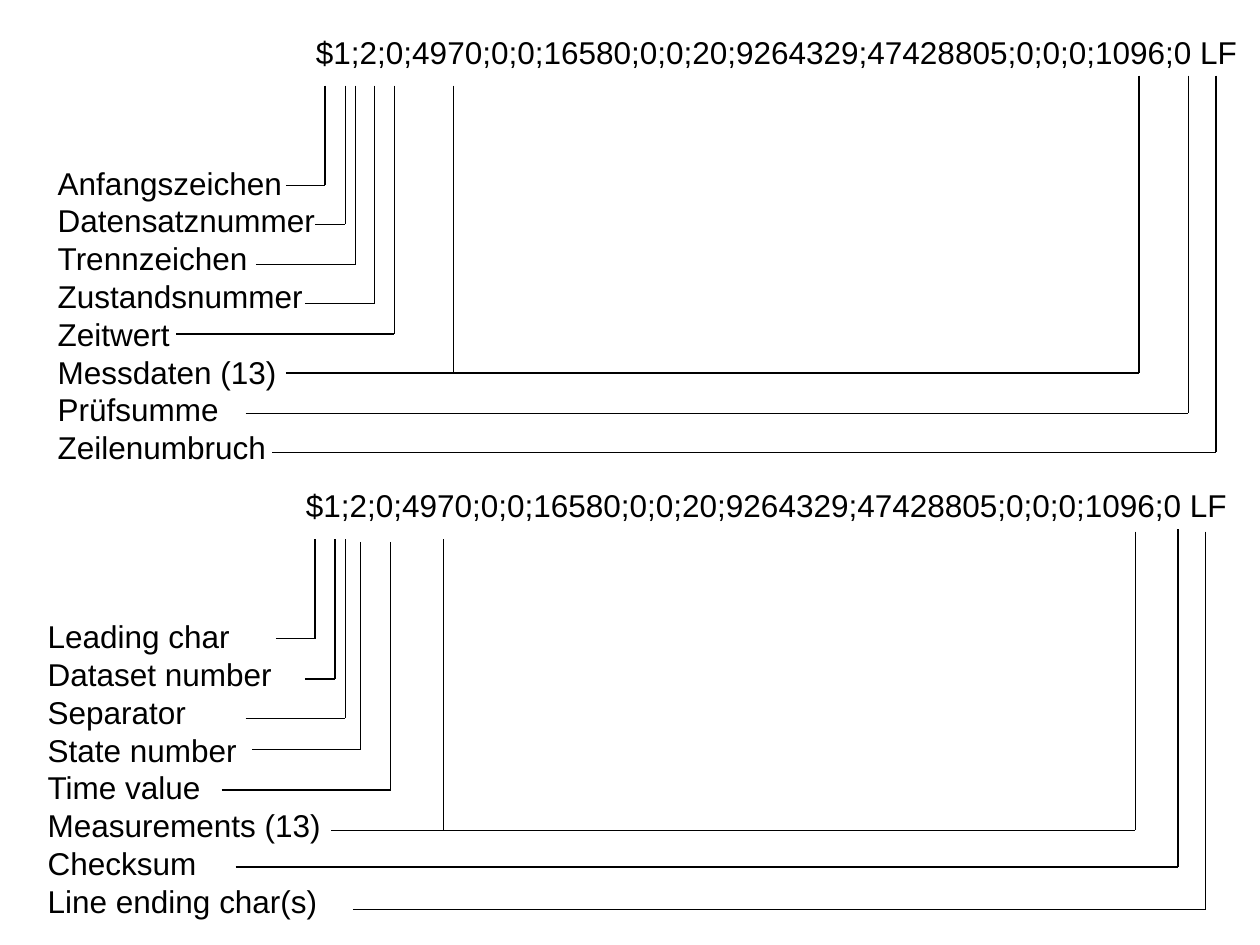
import pptx
import pptx.util
import pptx.dml.color
import pptx.enum.shapes
import pptx.enum.text
from lxml import etree
from pptx.util import Inches

COLORS = {"ink": "000000", "background": "FFFFFF"}
FONT = "Arial"
RECORD = " $1;2;0;4970;0;0;16580;0;0;20;9264329;47428805;0;0;0;1096;0 LF"

# Each field: label, line start x, line y, [(x, top) of each riser to the record]
DIAGRAMS = [
    {
        "record_box": (2.34, 0.21, 7.64, 0.4),
        "label_box": (0.36, 1.25, 2.42, 2.5),
        "fields": [
            ("Anfangszeichen", 2.27, 1.47, [(2.58, 0.68)]),
            ("Datensatznummer", 2.5, 1.78, [(2.74, 0.68)]),
            ("Trennzeichen", 2.03, 2.1, [(2.82, 0.68)]),
            ("Zustandsnummer", 2.42, 2.41, [(2.97, 0.68)]),
            ("Zeitwert", 1.4, 2.65, [(3.13, 0.68)]),
            ("Messdaten (13)", 2.27, 2.96, [(3.6, 0.68), (9.04, 0.6)]),
            ("Prüfsumme", 1.95, 3.28, [(9.43, 0.6)]),
            ("Zeilenumbruch", 2.16, 3.59, [(9.65, 0.6)]),
        ],
    },
    {
        "record_box": (2.26, 3.81, 7.64, 0.4),
        "label_box": (0.28, 4.85, 2.42, 2.5),
        "fields": [
            ("Leading char", 2.19, 5.07, [(2.5, 4.28)]),
            ("Dataset number", 2.42, 5.39, [(2.66, 4.28)]),
            ("Separator", 1.95, 5.7, [(2.74, 4.28)]),
            ("State number", 2.0, 5.95, [(2.86, 4.3)]),
            ("Time value", 1.76, 6.27, [(3.1, 4.3)]),
            ("Measurements (13)", 2.63, 6.59, [(3.52, 4.28), (9.01, 4.22)]),
            ("Checksum", 1.87, 6.88, [(9.35, 4.2)]),
            ("Line ending char(s)", 2.8, 7.22, [(9.57, 4.22)]),
        ],
    },
]


def rgb(name):
    return pptx.dml.color.RGBColor.from_string(COLORS[name])


def add_text(s, box, lines, size=18, color="ink"):
    tf = s.shapes.add_textbox(*map(Inches, box)).text_frame
    tf.word_wrap = True
    tf.auto_size = pptx.enum.text.MSO_AUTO_SIZE.SHAPE_TO_FIT_TEXT
    for i, line in enumerate(lines):
        p = tf.paragraphs[0] if i == 0 else tf.add_paragraph()
        r = p.add_run()
        r.text = line
        r.font.name = FONT
        r.font.size = pptx.util.Pt(size)
        r.font.color.rgb = rgb(color)


def add_line(s, x1, y1, x2, y2):
    line = s.shapes.add_connector(
        pptx.enum.shapes.MSO_CONNECTOR.STRAIGHT, *map(Inches, (x1, y1, x2, y2)))
    line.line.color.rgb = rgb("ink")
    line.line.width = pptx.util.Pt(0.75)
    etree.SubElement(line._element.spPr, pptx.oxml.ns.qn("a:effectLst"))


def add_diagram(s, diagram):
    fields = diagram["fields"]
    add_text(s, diagram["record_box"], [RECORD])
    add_text(s, diagram["label_box"], [label for label, *_ in fields])
    for _, start, y, risers in fields:
        for x, top in risers:
            add_line(s, x, top, x, y)
        add_line(s, start, y, risers[-1][0], y)


def main():
    prs = pptx.Presentation()
    prs.slide_width, prs.slide_height = Inches(10), Inches(7.5)
    s = prs.slides.add_slide(prs.slide_layouts[6])
    s.background.fill.solid()
    s.background.fill.fore_color.rgb = rgb("background")
    for diagram in DIAGRAMS:
        add_diagram(s, diagram)
    prs.save("out.pptx")


if __name__ == "__main__":
    main()
